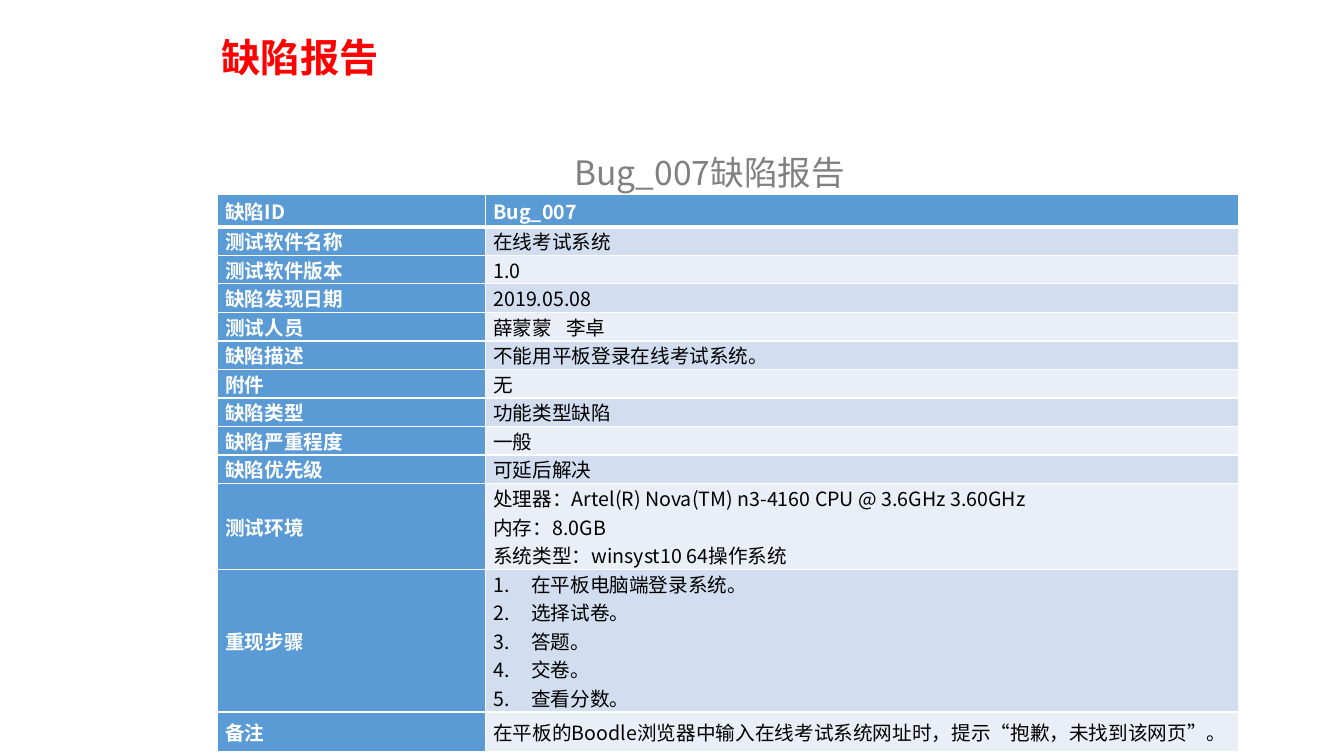
from dataclasses import dataclass

from lxml import etree
from pptx import Presentation
from pptx import util as u
from pptx.dml.color import RGBColor
from pptx.enum import text
from pptx.oxml import ns


@dataclass(frozen=True)
class Theme:
    font: str = "Noto Sans CJK SC"
    white: str = "FFFFFF"
    black: str = "000000"
    red: str = "FF0000"
    grey: str = "808080"
    blue: str = "5B9BD5"
    bands: tuple = ("EAEFF7", "D2DEEF")
    title: int = 28
    caption: int = 24
    body: int = 14


LINE = 20.4
HEADER_HEIGHT = 23
REMARK_HEIGHT = 28
STEPS = "重现步骤"
REPORT = [
    ("缺陷ID", ["Bug_007"]),
    ("测试软件名称", ["在线考试系统"]),
    ("测试软件版本", ["1.0"]),
    ("缺陷发现日期", ["2019.05.08"]),
    ("测试人员", ["薛蒙蒙\t李卓"]),
    ("缺陷描述", ["不能用平板登录在线考试系统。"]),
    ("附件", ["无"]),
    ("缺陷类型", ["功能类型缺陷"]),
    ("缺陷严重程度", ["一般"]),
    ("缺陷优先级", ["可延后解决"]),
    ("测试环境", ["处理器：Artel(R) Nova(TM) n3-4160 CPU @ 3.6GHz 3.60GHz",
              "内存：8.0GB", "系统类型：winsyst10 64操作系统"]),
    (STEPS, ["在平板电脑端登录系统。", "选择试卷。", "答题。", "交卷。", "查看分数。"]),
    ("备注", ["在平板的Boodle浏览器中输入在线考试系统网址时，提示“抱歉，未找到该网页”。"]),
]


class Deck:
    def __init__(self, theme):
        self.theme = theme
        self.prs = Presentation()
        self.prs.slide_width, self.prs.slide_height = u.Pt(960), u.Pt(540)
        self.s = self.prs.slides.add_slide(self.prs.slide_layouts[5])

    def style(self, p, size, color, bold=False):
        for r in p.runs:
            f = r.font
            f.size, f.bold, f.name = u.Pt(size), bold, self.theme.font
            f.color.rgb = RGBColor.from_string(color)
            ea = etree.SubElement(r._r.get_or_add_rPr(), ns.qn("a:ea"))
            ea.set("typeface", self.theme.font)

    def title(self, content, x, y, w, h):
        sp = self.s.shapes.title
        sp.left, sp.top, sp.width, sp.height = map(u.Pt, (x, y, w, h))
        tf = sp.text_frame
        tf.text = content
        tf.vertical_anchor = text.MSO_ANCHOR.MIDDLE
        p = tf.paragraphs[0]
        p.alignment, p.line_spacing = text.PP_ALIGN.LEFT, 0.9
        self.style(p, self.theme.title, self.theme.red, True)

    def caption(self, content, x, y, w, h):
        tf = self.s.shapes.add_textbox(*map(u.Pt, (x, y, w, h))).text_frame
        tf.word_wrap = True
        tf.text = content
        p = tf.paragraphs[0]
        p.line_spacing = 1.5
        self.style(p, self.theme.caption, self.theme.grey)

    def border(self, cell, side, width):
        ln = etree.SubElement(cell._tc.get_or_add_tcPr(), ns.qn(f"a:ln{side}"))
        ln.set("w", str(u.Pt(width)))
        fill = etree.SubElement(ln, ns.qn("a:solidFill"))
        etree.SubElement(fill, ns.qn("a:srgbClr")).set("val", self.theme.white)

    def number(self, p):
        pPr = p._p.get_or_add_pPr()
        pPr.set("marL", str(u.Pt(27)))
        pPr.set("indent", str(u.Pt(-27)))
        bu = etree.SubElement(pPr, ns.qn("a:buAutoNum"))
        bu.set("type", "arabicPeriod")

    def tab_stop(self, p, position):
        tabs = etree.SubElement(p._p.get_or_add_pPr(), ns.qn("a:tabLst"))
        tab = etree.SubElement(tabs, ns.qn("a:tab"))
        tab.set("pos", str(u.Pt(position)))
        tab.set("algn", "l")

    def cell(self, cell, lines, fill, color, bold, borders, numbered=False):
        cell.margin_left = cell.margin_right = u.Pt(5.4)
        cell.margin_top = cell.margin_bottom = 0
        cell.vertical_anchor = text.MSO_ANCHOR.MIDDLE
        for side, width in borders.items():
            self.border(cell, side, width)
        cell.fill.solid()
        cell.fill.fore_color.rgb = RGBColor.from_string(fill)
        cell.text_frame.text = "\n".join(lines)
        for p in cell.text_frame.paragraphs:
            p.alignment = text.PP_ALIGN.JUSTIFY
            if numbered:
                self.number(p)
            if "\t" in p.text:
                self.tab_stop(p, 52)
            self.style(p, self.theme.body, color, bold)

    def table(self, rows, heights, widths, x, y):
        t = self.theme
        frame = self.s.shapes.add_table(
            len(rows), len(widths), u.Pt(x), u.Pt(y), u.Pt(sum(widths)), u.Pt(sum(heights)))
        tbl = frame.table
        for column, width in zip(tbl.columns, widths):
            column.width = u.Pt(width)
        for i, (label, lines) in enumerate(rows):
            tbl.rows[i].height = u.Pt(heights[i])
            borders = {"L": 1, "R": 1, "T": 3 if i == 1 else 1, "B": 3 if i == 0 else 1}
            self.cell(tbl.cell(i, 0), [label], t.blue, t.white, True, borders)
            fill, color = (t.bands[i % 2], t.black) if i else (t.blue, t.white)
            self.cell(tbl.cell(i, 1), lines, fill, color, i == 0, borders, label == STEPS)


def main():
    deck = Deck(Theme())
    deck.title("缺陷报告", 151.2, 21.6, 722, 41.8)
    deck.caption("Bug_007缺陷报告", 403.2, 90.7, 222.5, 56.9)
    heights = [LINE * len(lines) for _, lines in REPORT]
    heights[0], heights[-1] = HEADER_HEIGHT, REMARK_HEIGHT
    deck.table(REPORT, heights, (191.5, 537.8), 155.5, 139)
    deck.prs.save("out.pptx")


if __name__ == "__main__":
    main()
